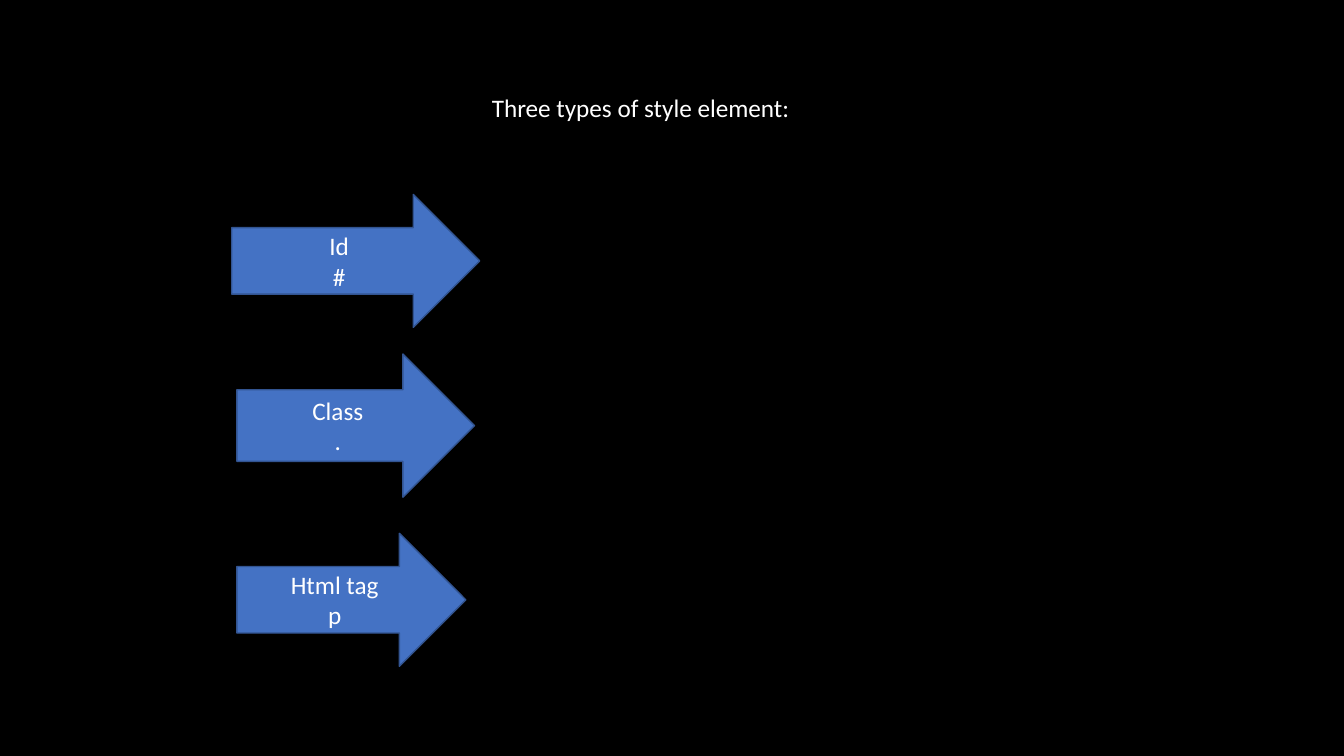
from dataclasses import dataclass

from pptx import Presentation
from pptx.dml.color import RGBColor
from pptx.enum.shapes import MSO_SHAPE
from pptx.enum.text import MSO_ANCHOR, MSO_AUTO_SIZE, PP_ALIGN
from pptx.slide import Slide
from pptx.util import Cm, Pt

BLACK = RGBColor(0x00, 0x00, 0x00)
WHITE = RGBColor(0xFF, 0xFF, 0xFF)
BLUE = RGBColor(0x44, 0x72, 0xC4)
DARK_BLUE = RGBColor(0x32, 0x54, 0x91)
FONT = "Calibri"


@dataclass(frozen=True)
class SelectorArrow:
    name: str
    symbol: str
    left: float
    top: float
    width: float
    height: float


SELECTOR_ARROWS = [
    SelectorArrow("Id", "#", 5.84, 4.9, 6.25, 3.35),
    SelectorArrow("Class", ".", 5.97, 8.92, 5.99, 3.61),
    SelectorArrow("Html tag", "p", 5.97, 13.44, 5.77, 3.35),
]


def format_box(shape, lines: list[str], fill: RGBColor, outline: RGBColor) -> None:
    shape.fill.solid()
    shape.fill.fore_color.rgb = fill
    shape.line.color.rgb = outline
    shape.line.width = Pt(1)
    frame = shape.text_frame
    frame.text = "\n".join(lines)
    frame.word_wrap = True
    frame.auto_size = MSO_AUTO_SIZE.NONE
    frame.vertical_anchor = MSO_ANCHOR.MIDDLE
    for paragraph in frame.paragraphs:
        paragraph.alignment = PP_ALIGN.CENTER
        font = paragraph.runs[0].font
        font.name = FONT
        font.size = Pt(18)
        font.color.rgb = WHITE


def add_title(slide: Slide, text: str) -> None:
    title = slide.shapes.title
    title.left, title.top = Cm(5.92), Cm(1.14)
    title.width, title.height = Cm(20.45), Cm(3.12)
    format_box(title, [text], BLACK, BLACK)


def add_selector_arrow(slide: Slide, arrow: SelectorArrow) -> None:
    shape = slide.shapes.add_shape(
        MSO_SHAPE.RIGHT_ARROW,
        Cm(arrow.left), Cm(arrow.top), Cm(arrow.width), Cm(arrow.height),
    )
    shape.shadow.inherit = False
    format_box(shape, [arrow.name, arrow.symbol], BLUE, DARK_BLUE)


presentation = Presentation()
presentation.slide_width = Cm(33.87)
presentation.slide_height = Cm(19.05)
slide = presentation.slides.add_slide(presentation.slide_layouts[5])
slide.background.fill.solid()
slide.background.fill.fore_color.rgb = BLACK

add_title(slide, "Three types of style element:")
for selector_arrow in SELECTOR_ARROWS:
    add_selector_arrow(slide, selector_arrow)

presentation.save("out.pptx")
